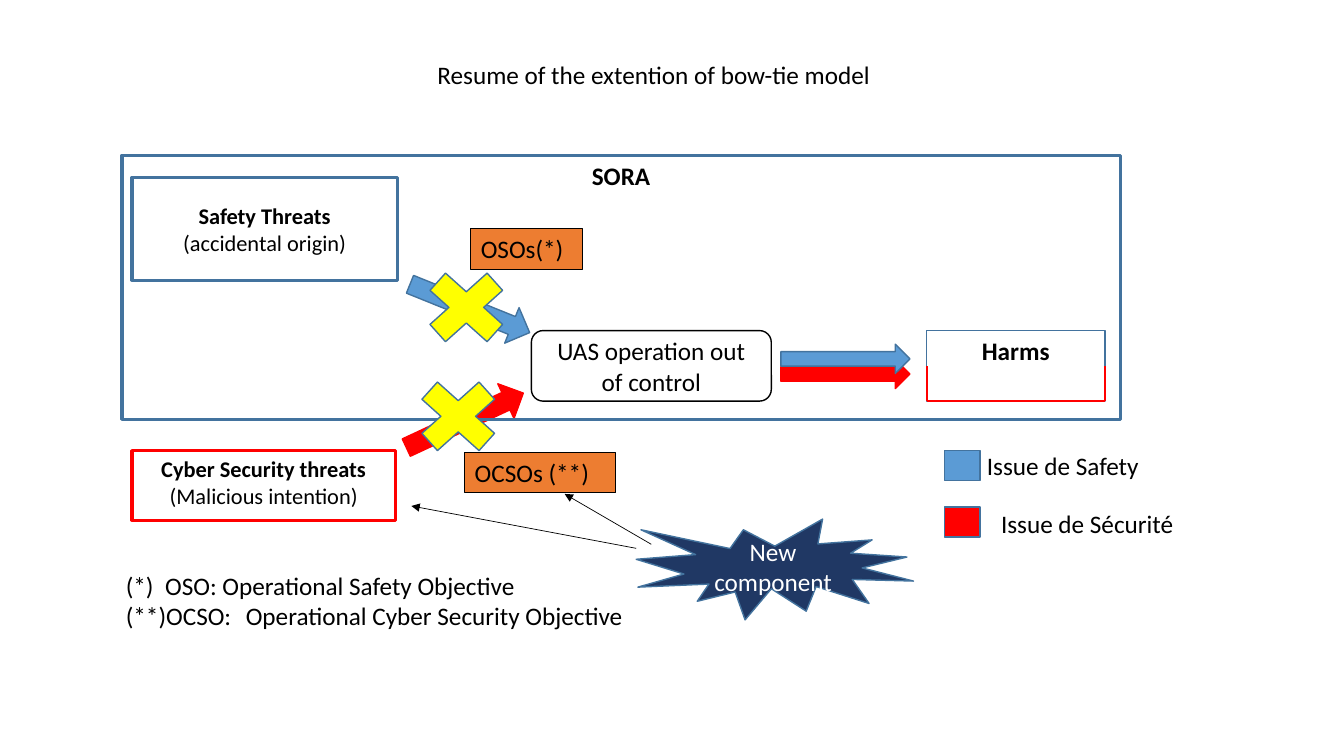
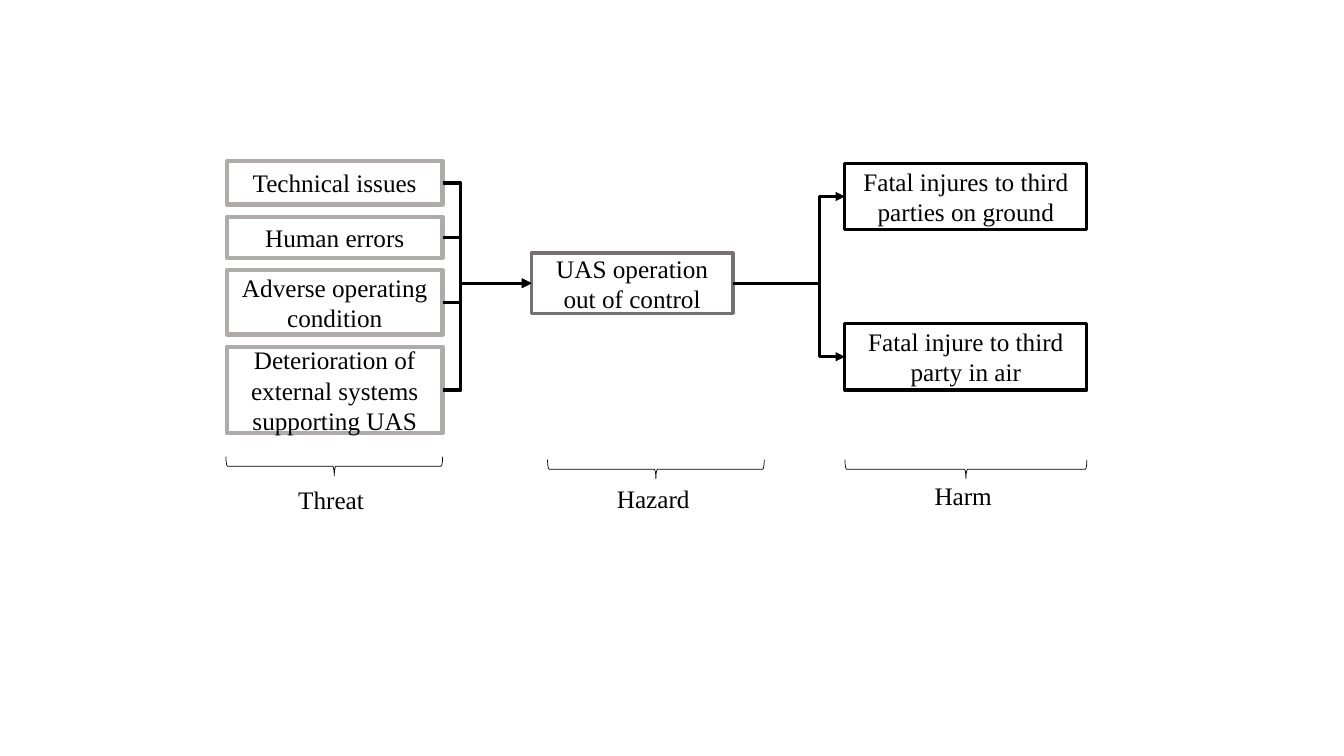
from dataclasses import dataclass
from typing import Optional

from lxml.etree import SubElement
from pptx import Presentation
from pptx.dml.color import RGBColor
from pptx.enum.shapes import MSO_CONNECTOR, MSO_SHAPE
from pptx.enum.text import MSO_ANCHOR, MSO_AUTO_SIZE, PP_ALIGN
from pptx.oxml.ns import qn
from pptx.util import Inches, Pt

BLACK = RGBColor(0x00, 0x00, 0x00)
WHITE = RGBColor(0xFF, 0xFF, 0xFF)
RED = RGBColor(0xFF, 0x00, 0x00)
YELLOW = RGBColor(0xFF, 0xFF, 0x00)
ORANGE = RGBColor(0xED, 0x7D, 0x31)
BLUE = RGBColor(0x5B, 0x9B, 0xD5)
EDGE_BLUE = RGBColor(0x43, 0x73, 0x9E)
NAVY = RGBColor(0x20, 0x38, 0x64)
DARK_GRAY = RGBColor(0x76, 0x71, 0x71)
LIGHT_GRAY = RGBColor(0xAF, 0xAB, 0xAB)
SANS = "Calibri"
SERIF = "Times New Roman"


@dataclass(frozen=True)
class Line:
    text: str
    bold: bool = False
    tab: Optional[float] = None


@dataclass(frozen=True)
class Style:
    font: str = SANS
    size: int = 18
    color: RGBColor = BLACK
    align: PP_ALIGN = PP_ALIGN.CENTER
    anchor: MSO_ANCHOR = MSO_ANCHOR.MIDDLE


@dataclass(frozen=True)
class Box:
    left: float
    top: float
    width: float
    height: float
    lines: tuple[Line, ...] = ()
    kind: MSO_SHAPE = MSO_SHAPE.RECTANGLE
    edge: RGBColor = EDGE_BLUE
    weight: float = 1
    fill: Optional[RGBColor] = None
    rotation: float = 0
    style: Style = Style()

    @property
    def right(self) -> float:
        return self.left + self.width

    @property
    def middle(self) -> float:
        return self.top + self.height / 2


@dataclass(frozen=True)
class Link:
    start: tuple[float, float]
    end: tuple[float, float]
    color: RGBColor = BLACK
    weight: float = 0.5
    arrow: bool = True
    bend: Optional[float] = None


@dataclass(frozen=True)
class Label:
    left: float
    top: float
    width: float
    lines: tuple[Line, ...]
    font: str = SANS
    height: float = 0.4


TOP = Style(anchor=MSO_ANCHOR.TOP)
TOP_LEFT = Style(anchor=MSO_ANCHOR.TOP, align=PP_ALIGN.LEFT)
SERIF_CENTER = Style(font=SERIF)


def write_lines(frame, lines: tuple[Line, ...], style: Style) -> None:
    frame.vertical_anchor = style.anchor
    for index, line in enumerate(lines):
        para = frame.paragraphs[0] if index == 0 else frame.add_paragraph()
        para.alignment = style.align
        if line.tab is not None:
            stops = SubElement(para._p.get_or_add_pPr(), qn("a:tabLst"))
            SubElement(stops, qn("a:tab"), pos=str(Inches(line.tab)), algn="l")
        span = para.add_run()
        span.text = line.text
        span.font.name = style.font
        span.font.size = Pt(style.size)
        span.font.bold = line.bold
        span.font.color.rgb = style.color


def draw_box(page, box: Box) -> None:
    shape = page.shapes.add_shape(box.kind, Inches(box.left), Inches(box.top),
                                  Inches(box.width), Inches(box.height))
    shape.shadow.inherit = False
    shape.rotation = box.rotation
    if box.fill is None:
        shape.fill.background()
    else:
        shape.fill.solid()
        shape.fill.fore_color.rgb = box.fill
    shape.line.color.rgb = box.edge
    shape.line.width = Pt(box.weight)
    if box.lines:
        shape.text_frame.word_wrap = True
        write_lines(shape.text_frame, box.lines, box.style)


def draw_link(page, link: Link) -> None:
    kind = MSO_CONNECTOR.STRAIGHT if link.bend is None else MSO_CONNECTOR.ELBOW
    x1, y1, x2, y2 = (Inches(value) for value in (*link.start, *link.end))
    connector = page.shapes.add_connector(kind, x1, y1, x2, y2)
    connector.line.color.rgb = link.color
    connector.line.width = Pt(link.weight)
    properties = connector._element.spPr
    if link.bend is not None:
        share = (link.bend - link.start[0]) / (link.end[0] - link.start[0])
        guides = properties.find(qn("a:prstGeom")).get_or_add_avLst()
        SubElement(guides, qn("a:gd"), name="adj1", fmla=f"val {round(share * 100000)}")
    if link.arrow:
        SubElement(connector.line._get_or_add_ln(), qn("a:tailEnd"), type="triangle")
    SubElement(properties, qn("a:effectLst"))


def draw_label(page, label: Label) -> None:
    box = page.shapes.add_textbox(Inches(label.left), Inches(label.top),
                                  Inches(label.width), Inches(label.height))
    frame = box.text_frame
    frame.word_wrap = False
    frame.auto_size = MSO_AUTO_SIZE.SHAPE_TO_FIT_TEXT
    style = Style(font=label.font, align=PP_ALIGN.LEFT, anchor=MSO_ANCHOR.TOP)
    write_lines(frame, label.lines, style)


DRAW = {Box: draw_box, Link: draw_link, Label: draw_label}


def draw_all(page, items: list) -> None:
    for item in items:
        DRAW[type(item)](page, item)


def block_arrow(left: float, top: float, width: float, rotation: float,
                fill: RGBColor, edge: RGBColor) -> Box:
    return Box(left, top, width, 1.28, kind=MSO_SHAPE.DOWN_ARROW,
               fill=fill, edge=edge, rotation=rotation)


def cross(left: float, top: float) -> Box:
    return Box(left, top, 1.09, 0.98, kind=MSO_SHAPE.MATH_MULTIPLY, fill=YELLOW)


def objective(left: float, top: float, width: float, text: str) -> Box:
    return Box(left, top, width, 0.4, (Line(text),), fill=ORANGE, edge=BLACK,
               weight=0.75, style=TOP_LEFT)


def brace(left: float, top: float, width: float) -> Box:
    depth = 0.19
    return Box(left + (width - depth) / 2, top - (width - depth) / 2, depth, width,
               kind=MSO_SHAPE.RIGHT_BRACE, edge=BLACK, weight=0.5, rotation=90)


def build_bow_tie(page) -> None:
    harms = Box(9.19, 3.28, 1.77, 0.7, (Line("Harms", True),), style=TOP)
    bottom = harms.top + harms.height
    outline = [(harms.left, harms.middle), (harms.left, bottom),
               (harms.right, bottom), (harms.right, harms.middle)]
    draw_all(page, [
        Box(1.31, 1.76, 2.63, 1.02,
            (Line("Safety Threats", True), Line("(accidental origin)")),
            weight=2.25, style=Style(size=16)),
        Box(1.31, 4.47, 2.61, 0.69,
            (Line("Cyber Security threats", True), Line("(Malicious intention)")),
            edge=RED, weight=2.25, style=Style(size=16, anchor=MSO_ANCHOR.TOP)),
        Box(5.27, 3.28, 2.38, 0.7, (Line("UAS operation out of control"),),
            kind=MSO_SHAPE.ROUNDED_RECTANGLE, edge=BLACK),
        harms,
        block_arrow(4.47, 2.42, 0.38, 292, BLUE, EDGE_BLUE),
        block_arrow(4.42, 3.53, 0.38, 245, RED, RED),
        block_arrow(8.24, 3.07, 0.29, 270, RED, RED),
        block_arrow(8.24, 2.92, 0.29, 270, BLUE, EDGE_BLUE),
        Box(9.37, 4.47, 0.35, 0.3, fill=BLUE),
        Box(9.37, 5.03, 0.35, 0.3, fill=RED),
        Label(9.69, 4.42, 1.73, (Line("Issue de Safety"),)),
        Label(9.83, 4.99, 1.99, (Line("Issue de Sécurité"),)),
        *(Link(start, end, RED, 1.5, arrow=False)
          for start, end in zip(outline, outline[1:])),
        Box(1.21, 1.54, 9.9, 2.62, (Line("SORA", True),), weight=2.25, style=TOP),
        objective(4.67, 2.27, 1.11, "OSOs(*)"),
        cross(4.08, 2.56),
        objective(4.61, 4.49, 1.5, "OCSOs (**)"),
        cross(4, 3.64),
        Label(1.15, 5.61, 5.16,
              (Line("(*)\tOSO: Operational Safety Objective", tab=0.39),
               Line("(**)OCSO:\tOperational Cyber Security Objective", tab=1.19)),
              height=0.71),
        Box(6.31, 5.15, 2.75, 1, (Line("New"), Line("component")),
            kind=MSO_SHAPE.EXPLOSION1, fill=NAVY, style=Style(color=WHITE)),
        Link((6.46, 5.4), (5.6, 4.9)),
        Link((6.31, 5.44), (4.08, 5.02)),
        Label(4.24, 0.54, 4.55, (Line("Resume of the extention of bow-tie model"),)),
    ])


def build_threat_chain(page) -> None:
    hazard = Box(5.27, 2.51, 2, 0.6, (Line("UAS operation out of control"),),
                 edge=DARK_GRAY, weight=2.25, style=SERIF_CENTER)
    threats = []
    top, gap = 1.6, 0.12
    for text, height in (("Technical issues", 0.43),
                         ("Human errors", 0.41),
                         ("Adverse operating condition", 0.64),
                         ("Deterioration of external systems supporting UAS", 0.86)):
        threats.append(Box(2.25, top, 2.14, height, (Line(text),), edge=LIGHT_GRAY,
                           weight=3, style=SERIF_CENTER))
        top += height + gap
    harms = [Box(8.38, harm_top, 2.4, 0.66, (Line(text),), edge=BLACK,
                 weight=2.25, style=SERIF_CENTER)
             for text, harm_top in (("Fatal injures to third parties on ground", 1.62),
                                    ("Fatal injure to third party in air", 3.21))]
    draw_all(page, [
        hazard, *threats, *harms,
        *(Link((threat.right, threat.middle), (hazard.left, hazard.middle),
               weight=2.25, bend=4.57) for threat in threats),
        *(Link((hazard.right, hazard.middle), (harm.left, harm.middle),
               weight=2.25, bend=8.13) for harm in harms),
        brace(2.24, 4.53, 2.15),
        brace(5.43, 4.56, 2.15),
        brace(8.38, 4.56, 2.4),
        Label(2.86, 4.76, 0.86, (Line("Threat"),), SERIF),
        Label(6.02, 4.75, 0.93, (Line("Hazard"),), SERIF),
        Label(9.17, 4.72, 0.78, (Line("Harm"),), SERIF),
    ])


def main() -> None:
    deck = Presentation()
    deck.slide_width = Inches(13.33)
    deck.slide_height = Inches(7.5)
    for build in (build_bow_tie, build_threat_chain):
        build(deck.slides.add_slide(deck.slide_layouts[6]))
    deck.save("out.pptx")


if __name__ == "__main__":
    main()
